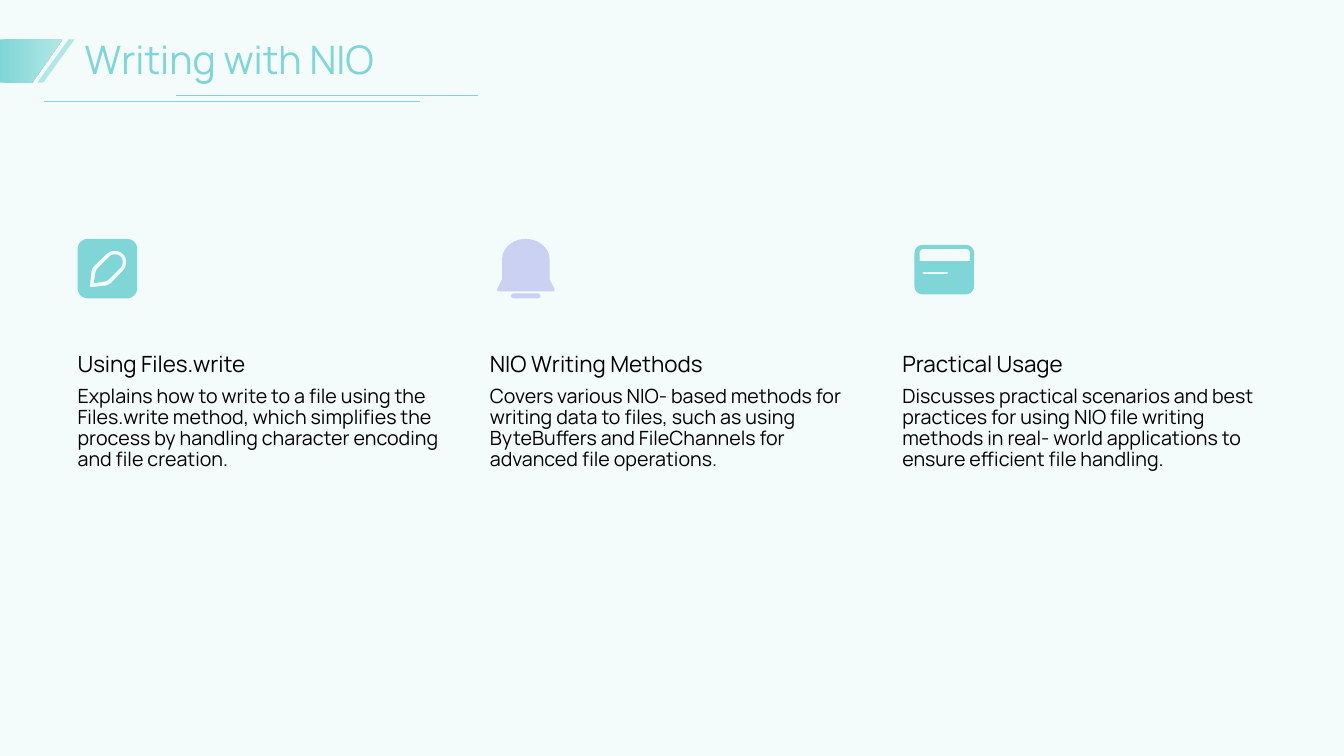
from dataclasses import dataclass
from typing import Iterator, NamedTuple

from lxml import etree
from pptx import Presentation
from pptx.dml.color import RGBColor
from pptx.enum.shapes import MSO_CONNECTOR, MSO_SHAPE
from pptx.enum.text import MSO_ANCHOR
from pptx.oxml.ns import qn
from pptx.util import Emu, Inches, Pt

STRAIGHT = MSO_CONNECTOR.STRAIGHT
RECTANGLE = MSO_SHAPE.RECTANGLE
PARALLELOGRAM = MSO_SHAPE.PARALLELOGRAM
TOP, MIDDLE, BOTTOM = MSO_ANCHOR.TOP, MSO_ANCHOR.MIDDLE, MSO_ANCHOR.BOTTOM


@dataclass(frozen=True)
class Theme:
    font: str = "Manrope"
    teal: RGBColor = RGBColor.from_string("80D6D6")
    pale_teal: RGBColor = RGBColor.from_string("B3E6E6")
    lavender: RGBColor = RGBColor.from_string("CBD1F2")
    wash: RGBColor = RGBColor.from_string("E6F7F7")
    ink: RGBColor = RGBColor.from_string("000000")
    wash_alpha: int = 43
    title_size: int = 28
    heading_size: int = 16
    body_size: int = 14
    rule_width: float = 0.5
    line_spacing: float = 0.9


class Corner(NamedTuple):
    x: float
    y: float
    cut: float = 0


class Box(NamedTuple):
    left: float
    top: float
    width: float
    height: float


class Rule(NamedTuple):
    left: float
    right: float
    y: float


Outline = list[Corner]


@dataclass(frozen=True)
class Topic:
    heading: str
    body: str
    icon: list[Outline]
    icon_color: RGBColor
    icon_left: float
    icon_top: float


THEME = Theme()
SLIDE_WIDTH, SLIDE_HEIGHT = 13.33, 7.5
FIRST_COLUMN, COLUMN_STEP, COLUMN_WIDTH = 0.77, 4.09, 3.6
HEADING_TOP, HEADING_HEIGHT = 3.03, 0.71
BODY_TOP, BODY_HEIGHT = 3.83, 1.72
ARC_STEPS = 10
ARC_PULL = 0.55


def block(left: float, top: float, right: float, bottom: float,
          top_cut: float, bottom_cut: float) -> Outline:
    return [Corner(left, top, top_cut), Corner(right, top, top_cut),
            Corner(right, bottom, bottom_cut), Corner(left, bottom, bottom_cut)]


PENCIL = [
    block(0, 0, 0.59, 0.59, 0.1, 0.1),
    [Corner(0.12, 0.48), Corner(0.14, 0.29, 0.04), Corner(0.37, 0.07, 0.12),
     Corner(0.53, 0.23, 0.12), Corner(0.31, 0.46, 0.04)],
    [Corner(0.16, 0.44), Corner(0.18, 0.31, 0.03), Corner(0.37, 0.12, 0.08),
     Corner(0.48, 0.23, 0.08), Corner(0.29, 0.42, 0.03)],
]
BELL = [
    [Corner(-0.01, 0.52, 0.03), Corner(0.05, 0.4), Corner(0.05, 0, 0.24),
     Corner(0.52, 0, 0.24), Corner(0.52, 0.4), Corner(0.58, 0.52, 0.03)],
    block(0.14, 0.54, 0.43, 0.59, 0.03, 0.03),
]
CARD = [
    block(0, 0, 0.59, 0.49, 0.08, 0.08),
    block(0.05, 0.04, 0.55, 0.16, 0.04, 0),
    block(0.08, 0.27, 0.33, 0.29, 0, 0.02),
]
BANNER = [[Corner(0, 0), Corner(0.62, 0), Corner(0.32, 0.43), Corner(0, 0.43)]]

TOPICS = [
    Topic("Using Files.write",
          "Explains how to write to a file using the Files.write method, which "
          "simplifies the process by handling character encoding and file creation.",
          PENCIL, THEME.teal, 0.77, 2.37),
    Topic("NIO Writing Methods",
          "Covers various NIO- based methods for writing data to files, such as "
          "using ByteBuffers and FileChannels for advanced file operations.",
          BELL, THEME.lavender, 4.93, 2.37),
    Topic("Practical Usage",
          "Discusses practical scenarios and best practices for using NIO file writing "
          "methods in real- world applications to ensure efficient file handling.",
          CARD, THEME.teal, 9.07, 2.43),
]
TITLE_RULES = [Rule(0.44, 4.17, 1.01), Rule(1.75, 4.74, 0.95)]


def toward(start: complex, end: complex, cut: float) -> complex:
    span = abs(end - start)
    return start + (end - start) / span * min(cut, span / 2)


def rounded(outline: Outline) -> Iterator[complex]:
    vertices = [complex(corner.x, corner.y) for corner in outline]
    for index, corner in enumerate(outline):
        vertex = vertices[index]
        if not corner.cut:
            yield vertex
            continue
        enter = toward(vertex, vertices[index - 1], corner.cut)
        leave = toward(vertex, vertices[(index + 1) % len(vertices)], corner.cut)
        pull_in = enter + (vertex - enter) * ARC_PULL
        pull_out = leave + (vertex - leave) * ARC_PULL
        for step in range(ARC_STEPS + 1):
            t = step / ARC_STEPS
            u = 1 - t
            yield u**3 * enter + 3 * u * u * t * pull_in + 3 * u * t * t * pull_out + t**3 * leave


def draw_outlines(slide, outlines: list[Outline], left: float, top: float):
    contours = [[(Inches(left + point.real), Inches(top + point.imag))
                 for point in rounded(outline)] for outline in outlines]
    builder = slide.shapes.build_freeform(*contours[0][0])
    for order, contour in enumerate(contours):
        if order:
            builder.move_to(*contour[0])
        builder.add_line_segments(contour[1:], close=True)
    figure = builder.convert_to_shape(Emu(0), Emu(0))
    figure.shadow.inherit = False
    figure.line.fill.background()
    return figure


def draw_preset(slide, preset: MSO_SHAPE, box: Box, color: RGBColor):
    figure = slide.shapes.add_shape(preset, *map(Inches, box))
    figure.shadow.inherit = False
    figure.fill.solid()
    figure.fill.fore_color.rgb = color
    figure.line.fill.background()
    return figure


def draw_text(slide, text: str, box: Box, size: int, color: RGBColor, anchor: MSO_ANCHOR) -> None:
    frame = slide.shapes.add_textbox(*map(Inches, box)).text_frame
    frame.word_wrap = True
    frame.vertical_anchor = anchor
    frame.margin_left = frame.margin_top = frame.margin_right = frame.margin_bottom = 0
    paragraph = frame.paragraphs[0]
    paragraph.line_spacing = THEME.line_spacing
    run = paragraph.add_run()
    run.text = text
    run.font.name = THEME.font
    run.font.size = Pt(size)
    run.font.color.rgb = color


def draw_rule(slide, rule: Rule) -> None:
    ends = (rule.left, rule.y, rule.right, rule.y)
    connector = slide.shapes.add_connector(STRAIGHT, *map(Inches, ends))
    connector.line.color.rgb = THEME.teal
    connector.line.width = Pt(THEME.rule_width)
    etree.SubElement(connector._element.spPr, qn("a:effectLst"))


def draw_background(slide) -> None:
    wash = draw_preset(slide, RECTANGLE, Box(0, 0, SLIDE_WIDTH, SLIDE_HEIGHT), THEME.wash)
    tint = wash._element.spPr.find(qn("a:solidFill"))[0]
    etree.SubElement(tint, qn("a:alpha"), val=str(THEME.wash_alpha * 1000))


def draw_topic(slide, topic: Topic, column: int) -> None:
    left = FIRST_COLUMN + column * COLUMN_STEP
    icon = draw_outlines(slide, topic.icon, topic.icon_left, topic.icon_top)
    icon.fill.solid()
    icon.fill.fore_color.rgb = topic.icon_color
    draw_text(slide, topic.heading, Box(left, HEADING_TOP, COLUMN_WIDTH, HEADING_HEIGHT),
              THEME.heading_size, THEME.ink, BOTTOM)
    draw_text(slide, topic.body, Box(left, BODY_TOP, COLUMN_WIDTH, BODY_HEIGHT),
              THEME.body_size, THEME.ink, TOP)


def draw_title(slide) -> None:
    draw_text(slide, "Writing with NIO", Box(0.84, 0.36, 11.76, 0.51),
              THEME.title_size, THEME.teal, MIDDLE)
    slash = draw_preset(slide, PARALLELOGRAM, Box(0.37, 0.39, 0.37, 0.43), THEME.pale_teal)
    slash.adjustments[0] = 0.84
    banner = draw_outlines(slide, BANNER, 0, 0.39)
    banner.fill.gradient()
    banner.fill.gradient_angle = 0
    for stop, color in zip(banner.fill.gradient_stops, (THEME.teal, THEME.pale_teal)):
        stop.color.rgb = color
    for rule in TITLE_RULES:
        draw_rule(slide, rule)


def main() -> None:
    deck = Presentation()
    deck.slide_width, deck.slide_height = Inches(SLIDE_WIDTH), Inches(SLIDE_HEIGHT)
    slide = deck.slides.add_slide(deck.slide_layouts[6])
    draw_background(slide)
    for column, topic in enumerate(TOPICS):
        draw_topic(slide, topic, column)
    draw_title(slide)
    deck.save("out.pptx")


if __name__ == "__main__":
    main()
